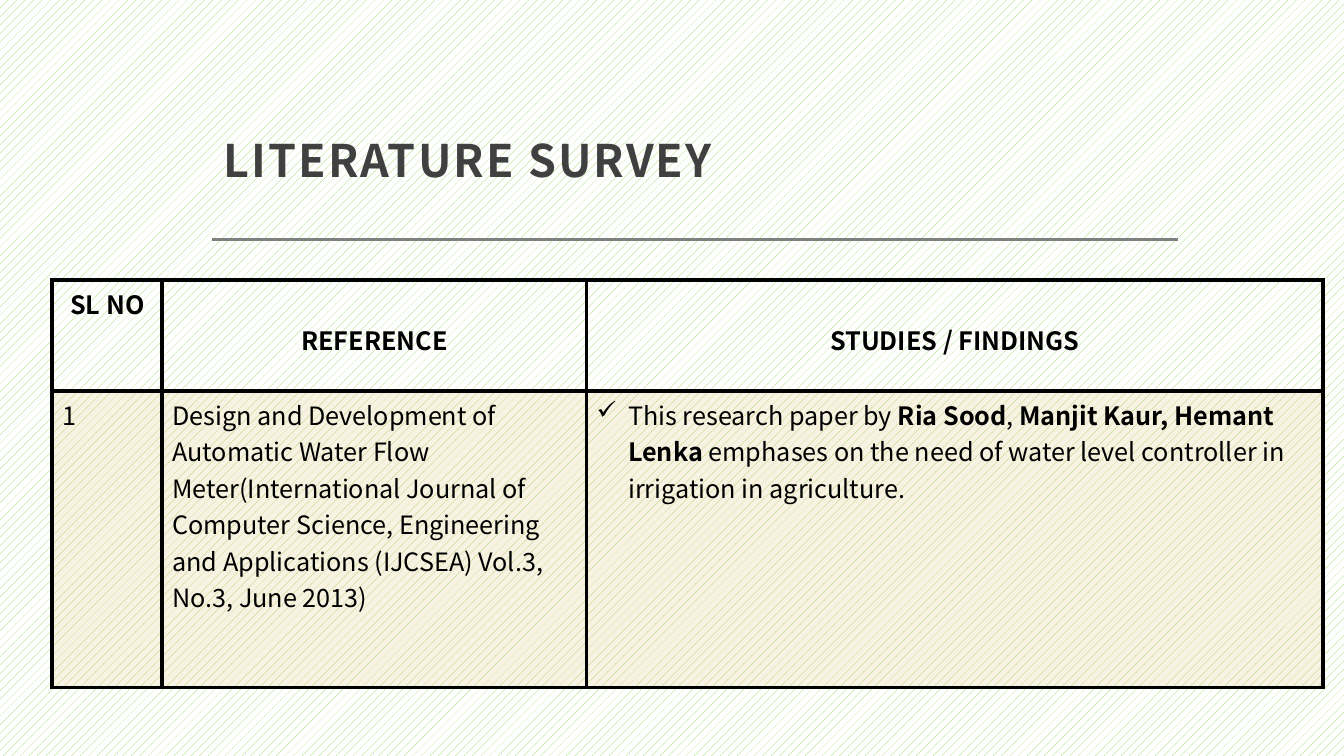
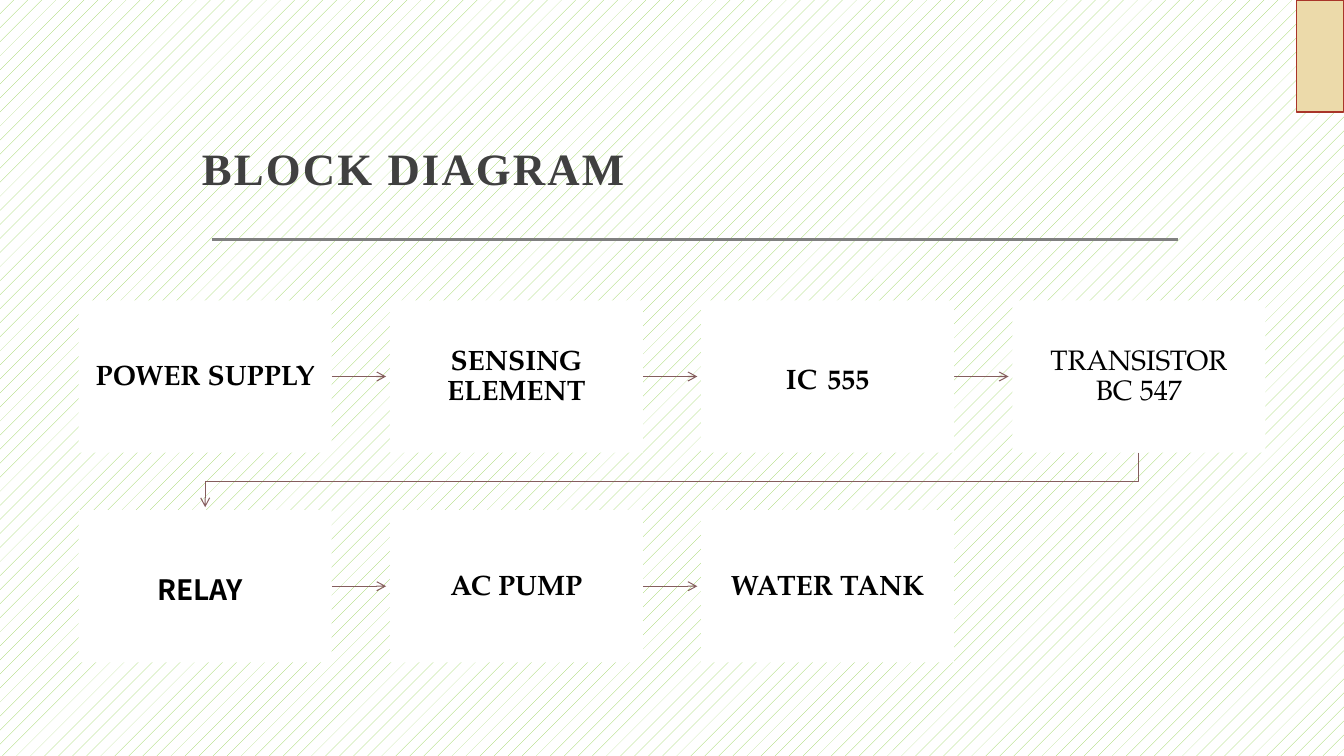
import pptx
import pptx.util
import pptx.dml.color
import pptx.enum.dml
import pptx.enum.shapes
import pptx.enum.text
import pptx.oxml.ns
from lxml import etree

Pt = pptx.util.Pt
RGBColor = pptx.dml.color.RGBColor
PATTERN = pptx.enum.dml.MSO_PATTERN
SHAPE = pptx.enum.shapes.MSO_SHAPE
LINE = pptx.enum.shapes.MSO_CONNECTOR
ALIGN = pptx.enum.text.PP_ALIGN
ANCHOR = pptx.enum.text.MSO_ANCHOR
qn = pptx.oxml.ns.qn

BLACK = RGBColor(0x00, 0x00, 0x00)
WHITE = RGBColor(0xFF, 0xFF, 0xFF)
GREEN = RGBColor(0x92, 0xD0, 0x50)
GREY = RGBColor(0x80, 0x80, 0x80)
DARK = RGBColor(0x40, 0x40, 0x40)
MAUVE = RGBColor(0x85, 0x5D, 0x5D)
SAND = RGBColor(0xE0, 0xC1, 0x71)
CREAM = RGBColor(0xEC, 0xDA, 0xAA)
RUST = RGBColor(0xA9, 0x35, 0x29)

SANS = "Noto Sans CJK JP"
SERIF = "TeX Gyre Pagella"
TIMES = "Times New Roman"


def write(frame, text, font=SANS, size=18, color=BLACK, bold=False,
          align=ALIGN.LEFT, lead=None, track=0, inset=None, anchor=None):
    frame.word_wrap = True
    if inset is not None:
        (frame.margin_left, frame.margin_top,
         frame.margin_right, frame.margin_bottom) = map(Pt, inset)
    if anchor is not None:
        frame.vertical_anchor = anchor
    para = frame.paragraphs[0]
    para.alignment = align
    if lead:
        para.line_spacing = lead
    parts = [(text, {})] if isinstance(text, str) else text
    for words, own in parts:
        run = para.add_run()
        run.text = words
        run.font.name = font
        run.font.size = Pt(own.get("size", size))
        run.font.bold = own.get("bold", bold)
        run.font.color.rgb = color
        if track:
            run._r.get_or_add_rPr().set("spc", str(track))
    return para


def stroke(item, color, width, head=False):
    item.line.color.rgb = color
    item.line.width = Pt(width)
    if head:
        end = etree.SubElement(item.line._get_or_add_ln(), qn("a:tailEnd"))
        end.set("type", "arrow")
    etree.SubElement(item._element.spPr, qn("a:effectLst"))


def link(slide, x1, y1, x2, y2, color, width, head=False):
    line = slide.shapes.add_connector(
        LINE.STRAIGHT, Pt(x1), Pt(y1), Pt(x2), Pt(y2))
    stroke(line, color, width, head)


def bend(slide, points):
    start, *rest = [(Pt(x), Pt(y)) for x, y in points]
    maker = slide.shapes.build_freeform(*start)
    maker.add_line_segments(rest, close=False)
    route = maker.convert_to_shape()
    route.fill.background()
    stroke(route, MAUVE, 0.75, True)


def panel(slide, x, y, w, h, fill):
    box = slide.shapes.add_shape(SHAPE.RECTANGLE, Pt(x), Pt(y), Pt(w), Pt(h))
    box.shadow.inherit = False
    box.fill.solid()
    box.fill.fore_color.rgb = fill
    box.line.fill.background()
    return box


def base(deck, dots, title, x, y, font):
    slide = deck.slides.add_slide(deck.slide_layouts[6])
    back = slide.background.fill
    back.patterned()
    back.pattern = dots
    back.fore_color.rgb = GREEN
    back.back_color.rgb = WHITE
    link(slide, 151.2, 171.2, 841.7, 171.2, GREY, 2)
    box = slide.shapes.add_textbox(Pt(x), Pt(y), Pt(690.5), Pt(105.8))
    write(box.text_frame, title, font=font, size=32, color=DARK, bold=True,
          lead=1.3, track=150, inset=(8.6, 8.6, 8.6, 7.2),
          anchor=ANCHOR.BOTTOM)
    return slide


def border(cell):
    props = cell._tc.get_or_add_tcPr()
    for side in ("lnL", "lnR", "lnT", "lnB"):
        edge = etree.SubElement(props, qn("a:" + side), w=str(Pt(3)))
        fill = etree.SubElement(edge, qn("a:solidFill"))
        etree.SubElement(fill, qn("a:srgbClr"), val=str(BLACK))


def tint(cell, color, alpha):
    cell.fill.solid()
    cell.fill.fore_color.rgb = color
    shade = cell._tc.tcPr.find(qn("a:solidFill"))[0]
    etree.SubElement(shade, qn("a:alpha"), val=str(alpha * 1000))


def tick(para, indent):
    props = para._p.get_or_add_pPr()
    props.set("marL", str(Pt(indent)))
    props.set("indent", str(-Pt(indent)))
    etree.SubElement(props, qn("a:buChar"), char="✓")


def survey(slide, x, y, heads, row):
    wide, high = (78.5, 303.1, 526.3), (79.2, 211.7)
    table = slide.shapes.add_table(
        2, 3, Pt(x), Pt(y), Pt(sum(wide)), Pt(sum(high))).table
    table.first_row = table.horz_banding = False
    for col, size in zip(table.columns, wide):
        col.width = Pt(size)
    for line, size in zip(table.rows, high):
        line.height = Pt(size)
    for cell in table.iter_cells():
        border(cell)
    for n, text in enumerate(heads):
        cell = table.cell(0, n)
        cell.fill.background()
        cell.margin_top = Pt(29.6 if n else 3.6)
        write(cell.text_frame, text, bold=True, align=ALIGN.CENTER)
    for n, text in enumerate(row):
        cell = table.cell(1, n)
        tint(cell, SAND, 20)
        para = write(cell.text_frame, text)
    tick(para, 22.5)


def flow(slide, x, y, rows):
    wide, high, step, drop = 180.7, 108.7, 222.3, 149.8
    for r, row in enumerate(rows):
        top = y + r * drop
        for c, (text, look) in enumerate(row):
            left = x + c * step
            if c < len(row) - 1:
                mid = top + high / 2
                link(slide, left + wide, mid, left + wide + 38.9, mid,
                     MAUVE, 0.75, True)
            box = panel(slide, left, top, wide, high, WHITE)
            style = dict(font=SERIF, size=20, bold=True) | look
            write(box.text_frame, text, align=ALIGN.CENTER, lead=0.9,
                  inset=(11.5,) * 4, anchor=ANCHOR.MIDDLE, **style)
    first = x + wide / 2
    last = first + step * (len(rows[0]) - 1)
    foot = y + high
    bend(slide, [(last, foot), (last, foot + 20.8),
                 (first, foot + 20.8), (first, foot + 39)])


def main():
    deck = pptx.Presentation()
    deck.slide_width, deck.slide_height = Pt(960), Pt(540)

    slide = base(deck, PATTERN.PERCENT_20, "LITERATURE SURVEY",
                 151.2, 34.6, SANS)
    survey(slide, 37.4, 200.2,
           ("SL NO", "REFERENCE", "STUDIES / FINDINGS"),
           ("1",
            "Design and Development of Automatic Water Flow "
            "Meter(International Journal of Computer Science, Engineering "
            "and Applications (IJCSEA) Vol.3, No.3, June 2013)",
            [("This research paper by ", {}),
             ("Ria Sood", {"bold": True}),
             (", ", {}),
             ("Manjit Kaur, Hemant Lenka ", {"bold": True}),
             ("emphases on the need of water level controller in "
              "irrigation in agriculture.", {})]))

    slide = base(deck, PATTERN.PERCENT_5, "BLOCK DIAGRAM",
                 135.6, 40.3, TIMES)
    flow(slide, 56.2, 214.6, [
        [("POWER SUPPLY", {}),
         ("SENSING ELEMENT", {}),
         ([("IC", {}), (" ", {"size": 29}), ("555", {})], {}),
         ("TRANSISTOR BC 547", {"bold": False})],
        [([("RELAY", {}), (" ", {"size": 32, "bold": False})],
          {"font": SANS}),
         ("AC PUMP", {}),
         ("WATER TANK", {})]])
    tab = panel(slide, 925.9, 0, 33.9, 79.9, CREAM)
    tab.line.color.rgb = RUST
    tab.line.width = Pt(1)

    deck.save("out.pptx")


if __name__ == "__main__":
    main()
